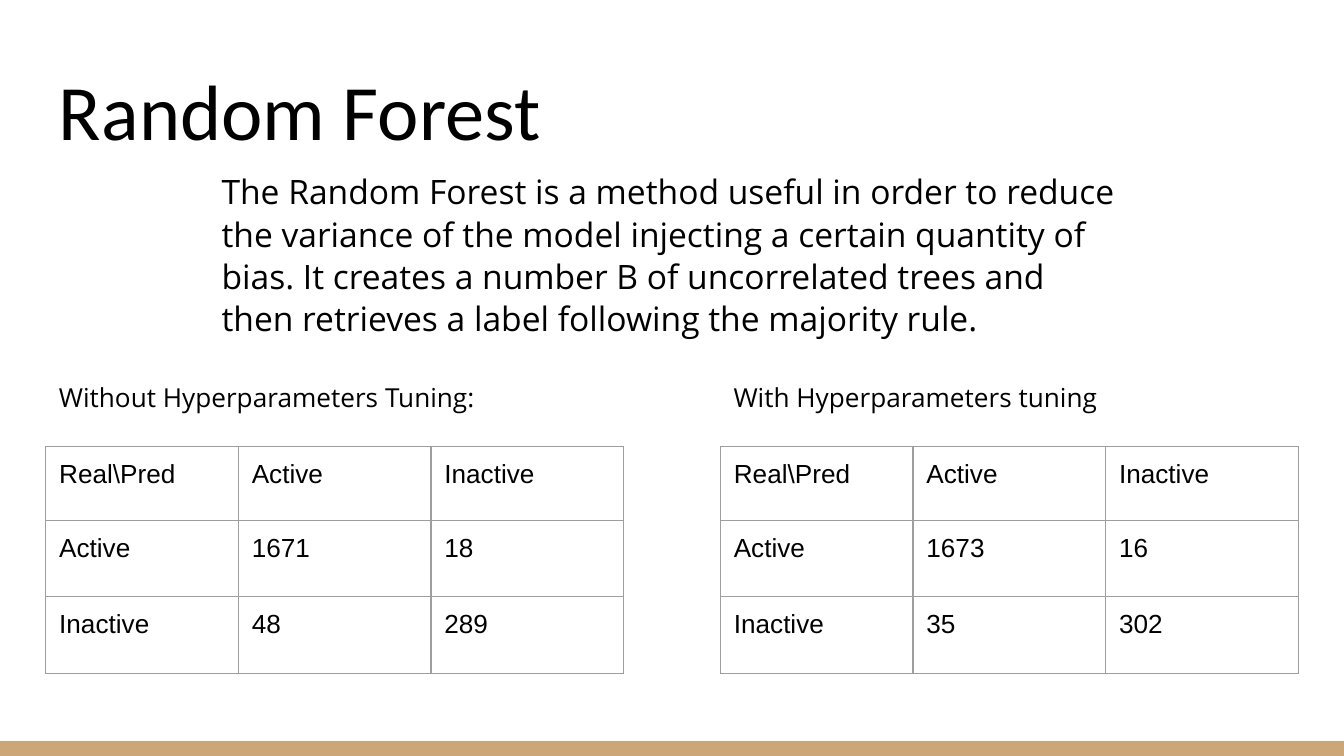
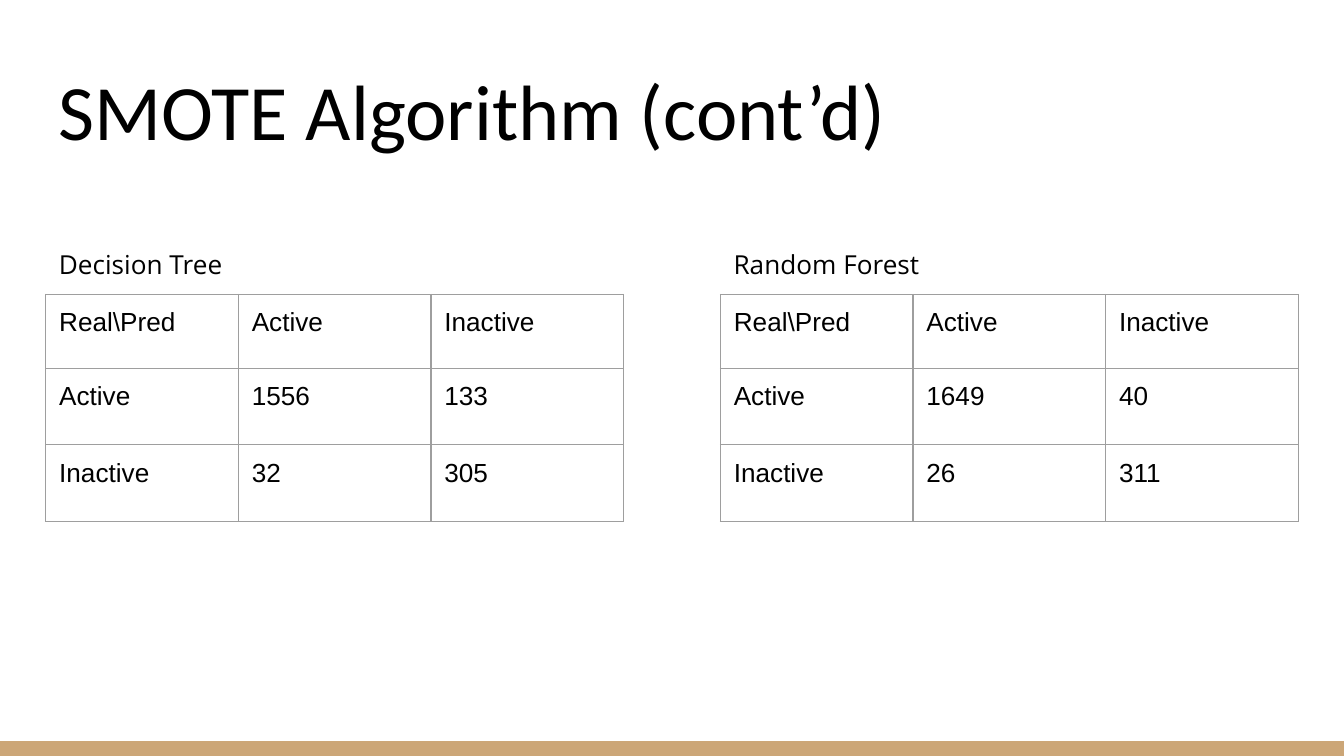
from lxml.etree import SubElement
from pptx import Presentation
from pptx.dml.color import RGBColor
from pptx.enum.shapes import MSO_SHAPE
from pptx.enum.text import MSO_ANCHOR
from pptx.oxml.ns import qn
from pptx.util import Inches, Pt

COLORS = {"text": "000000", "band": "CCA677", "grid": "9E9E9E"}
WIDE = Inches(10)
HIGH = WIDE * 9 // 16
BAND = Inches(0.11)
LEFTS = (0.34, 5.36)
SPAN = 4.3
ROWS = (0.55, 0.57, 0.57)
PAD = Inches(0.1)

# Title, body text, label top, table top, then label and counts per table
SLIDES = [
    ("Random Forest",
     "The Random Forest is a method useful in order to reduce the variance "
     "of the model injecting a certain quantity of bias. It creates a number "
     "B of uncorrelated trees and then retrieves a label following the "
     "majority rule.",
     2.74, 3.32,
     [("Without Hyperparameters Tuning:", ((1671, 18), (48, 289))),
      ("With Hyperparameters tuning", ((1673, 16), (35, 302)))]),
    ("SMOTE Algorithm (cont’d)", None, 1.75, 2.19,
     [("Decision Tree", ((1556, 133), (32, 305))),
      ("Random Forest", ((1649, 40), (26, 311)))]),
]


def add_text(slide, text, box, size, font="Open Sans", anchor=MSO_ANCHOR.TOP):
    """Add a wrapped text box and return its paragraph."""
    frame = slide.shapes.add_textbox(*map(Inches, box)).text_frame
    frame.word_wrap = True
    frame.vertical_anchor = anchor
    frame.margin_left = frame.margin_right = PAD
    frame.margin_top = frame.margin_bottom = PAD
    para = frame.paragraphs[0]
    para.text = text
    para.font.size, para.font.name = Pt(size), font
    para.font.color.rgb = RGBColor.from_string(COLORS["text"])
    return para


def add_matrix(slide, counts, left, top):
    """Add a confusion matrix with thin grid lines and no fill."""
    table = slide.shapes.add_table(
        3, 3, Inches(left), Inches(top), Inches(SPAN), Inches(sum(ROWS))).table
    table.first_row = table.horz_banding = False
    for row, high in zip(table.rows, ROWS):
        row.height = Inches(high)
    names = ("Active", "Inactive")
    grid = [("Real\\Pred", *names)]
    grid += [(name, *line) for name, line in zip(names, counts)]
    for r, line in enumerate(grid):
        for c, value in enumerate(line):
            cell = table.cell(r, c)
            cell.margin_left = cell.margin_right = PAD
            cell.margin_top = cell.margin_bottom = PAD
            para = cell.text_frame.paragraphs[0]
            para.text = str(value)
            para.font.size, para.font.name = Pt(14), "Arial"
            para.font.color.rgb = RGBColor.from_string(COLORS["text"])
            props = cell._tc.get_or_add_tcPr()
            for side in ("lnL", "lnR", "lnT", "lnB"):
                edge = SubElement(props, qn(f"a:{side}"), w=str(Pt(0.75)))
                fill = SubElement(edge, qn("a:solidFill"))
                SubElement(fill, qn("a:srgbClr"), val=COLORS["grid"])
            cell.fill.background()


deck = Presentation()
deck.slide_width, deck.slide_height = WIDE, HIGH

for title, body, label_top, table_top, parts in SLIDES:
    slide = deck.slides.add_slide(deck.slide_layouts[6])
    band = slide.shapes.add_shape(
        MSO_SHAPE.RECTANGLE, 0, HIGH - BAND, WIDE, BAND)
    band.shadow.inherit = False
    band.fill.solid()
    band.fill.fore_color.rgb = RGBColor.from_string(COLORS["band"])
    band.line.fill.background()

    add_text(slide, title, (0.34, 0.35, 9.32, 0.91), 42, "Calibri",
             MSO_ANCHOR.BOTTOM)
    if body:
        para = add_text(slide, body, (1.55, 1.16, 6.89, 1.65), 18)
        para.line_spacing = 1.05
        para.space_after = Pt(12)
    for left, (label, counts) in zip(LEFTS, parts):
        add_matrix(slide, counts, left, table_top)
        add_text(slide, label, (left, label_top, SPAN, 0.44), 14)

deck.save("out.pptx")
